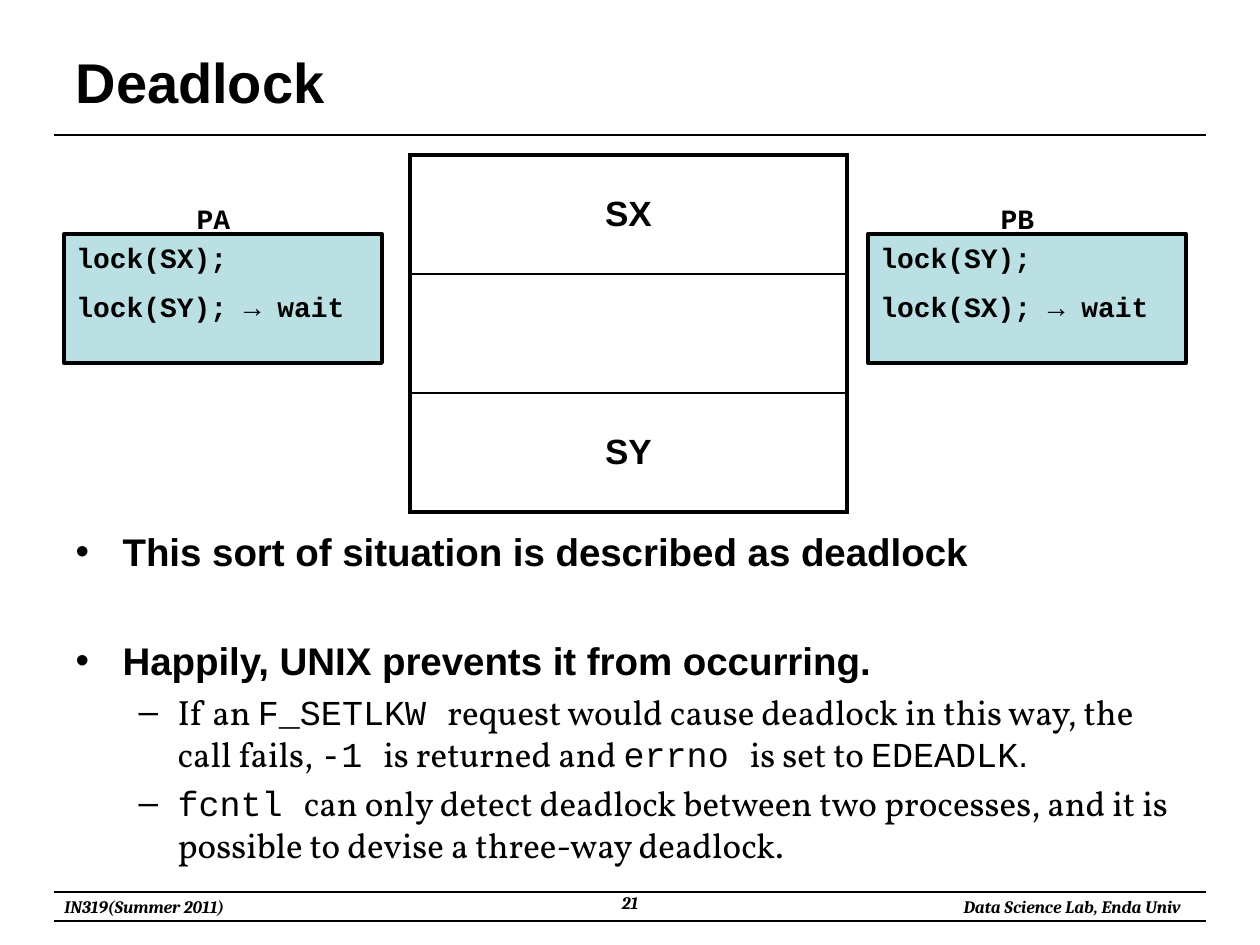
"""Build the Deadlock slide: two processes, a shared file, and an explanation."""
import lxml.etree
import pptx
import pptx.dml.color
import pptx.enum.shapes
import pptx.enum.text
import pptx.oxml
import pptx.oxml.ns
import pptx.util

PIXEL = 914400 // 126
BLACK = "000000"
ALIGN = pptx.enum.text.PP_ALIGN
MIDDLE = pptx.enum.text.MSO_ANCHOR.MIDDLE
CODE = {"name": "Courier New", "size": 16, "bold": True}
FOOTER = {"name": "Cambria", "size": 10, "bold": True, "italic": True}
HEADING = {"name": "Arial", "size": 22, "bold": True}
PROSE = {"name": "Vollkorn", "size": 20, "bold": False}
MONO = {**PROSE, "name": "Courier New"}


def color(hex_string):
    return pptx.dml.color.RGBColor.from_string(hex_string)


def write(para, pieces, align=ALIGN.LEFT, before=0):
    para.alignment = align
    para.space_before = pptx.util.Pt(before)
    for text, formats in pieces:
        span = para.add_run()
        span.text = text
        span.font.color.rgb = color(BLACK)
        for name, value in formats.items():
            setattr(span.font, name, pptx.util.Pt(value) if name == "size" else value)


deck = pptx.Presentation()
deck.slide_width = pptx.util.Inches(10)
deck.slide_height = pptx.util.Inches(7.5)
page = deck.slides.add_slide(deck.slide_layouts[1])

for y in (135, 892, 921):
    rule = page.shapes.add_connector(
        pptx.enum.shapes.MSO_CONNECTOR.STRAIGHT, 54 * PIXEL, y * PIXEL, 1206 * PIXEL, y * PIXEL)
    rule.line.color.rgb = color(BLACK)
    rule.line.width = pptx.util.Pt(0.75)
    properties = rule.element.find(pptx.oxml.ns.qn("p:spPr"))
    lxml.etree.SubElement(properties, pptx.oxml.ns.qn("a:effectLst"))

title = page.shapes.title
body = page.placeholders[1]
for holder, top, height in ((title, 38, 87), (body, 522, 323)):
    holder.left, holder.top = 63 * PIXEL, top * PIXEL
    holder.width, holder.height = 1134 * PIXEL, height * PIXEL
    holder.text_frame.auto_size = pptx.enum.text.MSO_AUTO_SIZE.NONE
title.text_frame.vertical_anchor = MIDDLE
write(title.text_frame.paragraphs[0], [("Deadlock", {**HEADING, "size": 32})])

bullets = [
    (0, 0, [("This sort of situation is described as deadlock", HEADING)]),
    (0, 36, [("Happily, UNIX prevents it from occurring.", HEADING)]),
    (1, 4, [("If an ", PROSE), ("F_SETLKW ", MONO),
            ("request would cause deadlock in this way, the call fails, ", PROSE),
            ("-1 ", MONO), ("is returned and ", PROSE), ("errno ", MONO),
            ("is set to ", PROSE), ("EDEADLK", MONO), (".", {**PROSE, "name": "Arial"})]),
    (1, 4, [("fcntl ", MONO),
            ("can only detect deadlock between two processes, and it is possible "
             "to devise a three-way deadlock.", PROSE)]),
]
bullet_styles = [("•", 47, 47), ("–", 102, 39)]
for index, (level, before, pieces) in enumerate(bullets):
    para = body.text_frame.add_paragraph() if index else body.text_frame.paragraphs[0]
    para.level = level
    write(para, pieces, before=before)
    mark, margin, hanging = bullet_styles[level]
    properties = para._p.get_or_add_pPr()
    properties.set("marL", str(margin * PIXEL))
    properties.set("indent", str(-hanging * PIXEL))
    for tag, key, value in (("a:buFont", "typeface", "Arial"), ("a:buChar", "char", mark)):
        lxml.etree.SubElement(properties, pptx.oxml.ns.qn(tag)).set(key, value)

labels = [
    ("IN319(Summer 2011)", 52, 890, 218, 34, ALIGN.LEFT, FOOTER),
    ("Data Science Lab, Enda Univ", 902, 890, 291, 34, ALIGN.RIGHT, FOOTER),
    ("21", 483, 886, 294, 39, ALIGN.CENTER, FOOTER),
    ("PA", 184, 195, 59, 47, ALIGN.CENTER, CODE),
    ("PB", 988, 195, 59, 47, ALIGN.CENTER, CODE),
]
for text, left, top, width, height, align, formats in labels:
    box = page.shapes.add_textbox(left * PIXEL, top * PIXEL, width * PIXEL, height * PIXEL)
    box.text_frame.word_wrap = True
    write(box.text_frame.paragraphs[0], [(text, formats)], align)

segments = ("SX", "", "SY")
frame = page.shapes.add_table(
    len(segments), 1, 410 * PIXEL, 155 * PIXEL, 437 * PIXEL, 357 * PIXEL)
table = frame.table
table.first_row = table.horz_banding = False
for index, text in enumerate(segments):
    table.rows[index].height = 119 * PIXEL
    cell = table.cell(index, 0)
    cell.vertical_anchor = MIDDLE
    if text:
        write(cell.text_frame.paragraphs[0], [(text, {**HEADING, "size": 20})], ALIGN.CENTER)
    top_width = 1 if index else 2.25
    bottom_width = 1 if index < len(segments) - 1 else 2.25
    edges = {"lnL": 2.25, "lnR": 2.25, "lnT": top_width, "lnB": bottom_width}
    properties = cell._tc.get_or_add_tcPr()
    for tag, points in edges.items():
        edge = lxml.etree.SubElement(properties, pptx.oxml.ns.qn("a:" + tag))
        edge.set("w", str(pptx.util.Pt(points)))
        paint = lxml.etree.SubElement(edge, pptx.oxml.ns.qn("a:solidFill"))
        lxml.etree.SubElement(paint, pptx.oxml.ns.qn("a:srgbClr")).set("val", BLACK)
    cell.fill.background()

processes = [(64, ("lock(SX);", "lock(SY); → wait")), (868, ("lock(SY);", "lock(SX); → wait"))]
for left, calls in processes:
    box = page.shapes.add_shape(
        pptx.enum.shapes.MSO_SHAPE.RECTANGLE, left * PIXEL, 234 * PIXEL, 318 * PIXEL, 129 * PIXEL)
    box.shadow.inherit = False
    box.fill.solid()
    box.fill.fore_color.rgb = color("BBE0E3")
    box.line.color.rgb = color(BLACK)
    box.line.width = pptx.util.Pt(2.25)
    box.text_frame.word_wrap = True
    box.text_frame.vertical_anchor = pptx.enum.text.MSO_ANCHOR.TOP
    for index, call in enumerate(calls):
        para = box.text_frame.add_paragraph() if index else box.text_frame.paragraphs[0]
        write(para, [(call, CODE)], before=9 * index)

deck.save("out.pptx")
